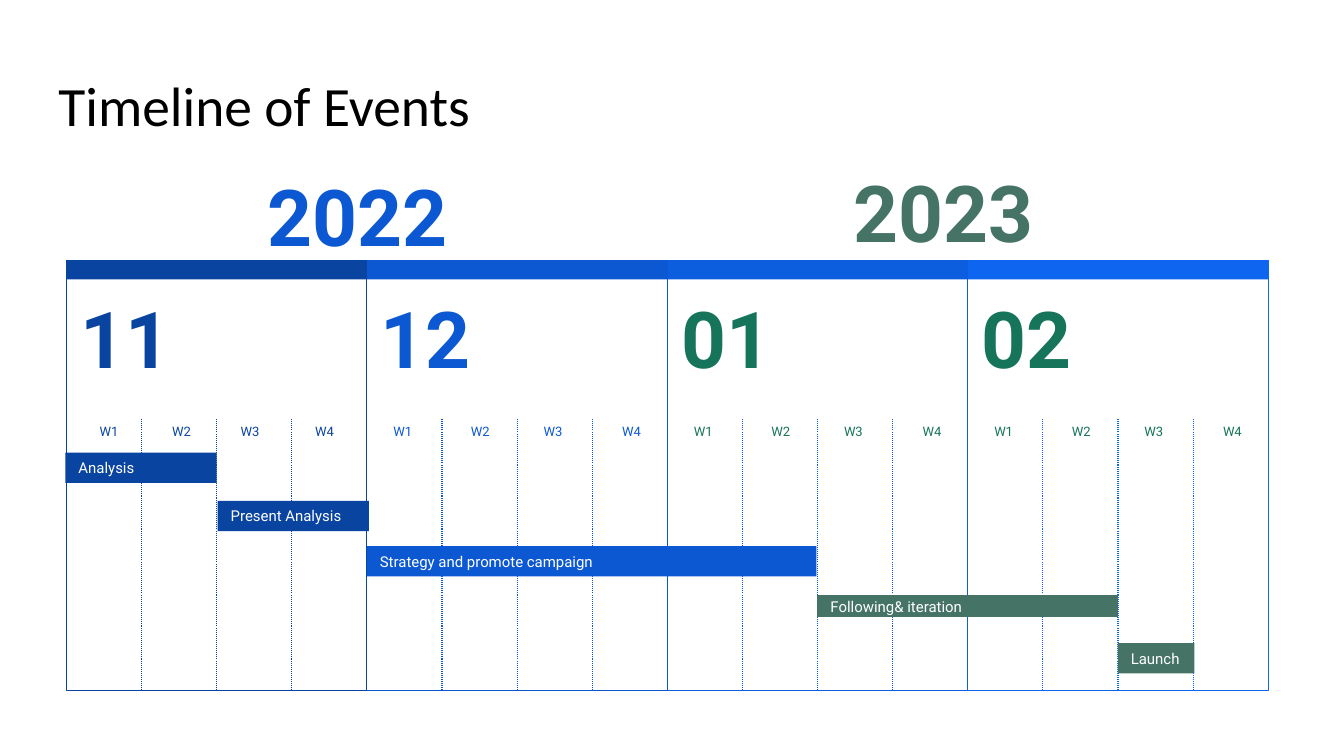
"""Build the Timeline of Events slide."""
from dataclasses import dataclass

import lxml.etree
import pptx
import pptx.dml.color
import pptx.enum.dml
import pptx.enum.shapes
import pptx.enum.text
import pptx.oxml.ns
import pptx.shapes.autoshape
import pptx.shapes.connector
import pptx.shapes.shapetree
import pptx.util

Pt = pptx.util.Pt
Rect = pptx.shapes.autoshape.Shape
Tree = pptx.shapes.shapetree.SlideShapes | pptx.shapes.shapetree.GroupShapes
Align = pptx.enum.text.PP_ALIGN
Anchor = pptx.enum.text.MSO_ANCHOR

HUES = {
    "navy": "0944A1",
    "blue": "0C58D3",
    "azure": "0D5DDF",
    "bright": "0E65F0",
    "green": "16745A",
    "sage": "457467",
    "white": "FFFFFF",
    "black": "000000",
}
LEFT, TOP, WIDE, HIGH = 47.5, 185.8, 214.6, 307.4
BAND, INSET, WEEK_TOP = 13.7, 9.3, 298.8
BOTTOM = TOP + HIGH


@dataclass(frozen=True)
class Box:
    left: float
    top: float
    width: float
    height: float


@dataclass(frozen=True)
class Style:
    size: float
    hue: str
    bold: bool = False
    align: Align = Align.CENTER
    anchor: Anchor = Anchor.MIDDLE
    font: str = "Roboto"


@dataclass(frozen=True)
class Month:
    label: str
    edge: str
    ink: str
    weeks: tuple[float, ...] = (7.2, 62.6, 114.5, 170.6)
    width: float = 36.7


@dataclass(frozen=True)
class Task:
    label: str
    box: Box
    hue: str
    edge: str | None = None


@dataclass(frozen=True)
class Year:
    label: str
    box: Box
    hue: str


MONTHS = (
    Month("11", "navy", "navy", (13, 64.8, 113.8, 167), 34.6),
    Month("12", "blue", "blue"),
    Month("01", "azure", "green"),
    Month("02", "bright", "green"),
)
TASKS = (
    Task("Analysis", Box(46.8, 323.3, 108, 21.6), "navy"),
    Task("Present Analysis", Box(155.5, 357.8, 108, 21.6), "navy"),
    Task("Following& iteration", Box(583.9, 425.5, 214.6, 15.1), "sage", "sage"),
    Task("Launch", Box(798.5, 459.4, 54.7, 21.6), "sage"),
    Task("Strategy and promote campaign", Box(262.1, 390.2, 321.1, 21.6), "blue"),
)
YEARS = (
    Year("2022", Box(178.6, 111.6, 153.4, 83.5), "blue"),
    Year("2023", Box(594.7, 115.2, 159.1, 71.3), "sage"),
)


def tint(hue: str) -> pptx.dml.color.RGBColor:
    """Return the named colour."""
    return pptx.dml.color.RGBColor.from_string(HUES[hue])


def spot(box: Box) -> tuple[int, ...]:
    """Return the box as slide lengths."""
    return Pt(box.left), Pt(box.top), Pt(box.width), Pt(box.height)


def write(shape: Rect, text: str, style: Style) -> None:
    """Put one styled run into a shape."""
    frame = shape.text_frame
    frame.word_wrap = True
    frame.auto_size = pptx.enum.text.MSO_AUTO_SIZE.NONE
    frame.vertical_anchor = style.anchor
    frame.margin_left = frame.margin_right = Pt(INSET)
    frame.margin_top = frame.margin_bottom = Pt(INSET)
    para = frame.paragraphs[0]
    para.alignment = style.align
    run = para.add_run()
    run.text = text
    run.font.name = style.font
    run.font.size = Pt(style.size)
    run.font.bold = style.bold
    run.font.color.rgb = tint(style.hue)


def label(tree: Tree, text: str, box: Box, style: Style) -> None:
    """Add a text box."""
    write(tree.add_textbox(*spot(box)), text, style)


def block(tree: Tree, box: Box, fill: str | None, edge: str | None) -> Rect:
    """Add a plain rectangle."""
    shape = tree.add_shape(pptx.enum.shapes.MSO_SHAPE.RECTANGLE, *spot(box))
    shape.shadow.inherit = False
    if fill:
        shape.fill.solid()
        shape.fill.fore_color.rgb = tint(fill)
    else:
        shape.fill.background()
    if edge:
        shape.line.color.rgb = tint(edge)
        shape.line.width = Pt(0.75)
    else:
        shape.line.fill.background()
    return shape


def rule(tree: Tree, left: float, hue: str) -> pptx.shapes.connector.Connector:
    """Add a dotted week divider."""
    line = tree.add_connector(
        pptx.enum.shapes.MSO_CONNECTOR.STRAIGHT,
        Pt(left), Pt(BOTTOM), Pt(left), Pt(WEEK_TOP),
    )
    line.line.color.rgb = tint(hue)
    line.line.width = Pt(0.75)
    line.line.dash_style = pptx.enum.dml.MSO_LINE.ROUND_DOT
    props = line._element.spPr
    lxml.etree.SubElement(props, pptx.oxml.ns.qn("a:effectLst"))
    return line


def draw_month(tree: Tree, month: Month, left: float) -> None:
    """Draw one month column as a group."""
    group = tree.add_group_shape().shapes
    frame = block(group, Box(left, TOP, WIDE, HIGH), None, month.edge)
    block(group, Box(left, TOP, WIDE, BAND), month.edge, None)
    label(group, month.label, Box(left, 199.4, 84.2, 83.5), Style(56, month.ink, True))
    for num, shift in enumerate(month.weeks, 1):
        box = Box(left + shift, WEEK_TOP, month.width, 18.7)
        label(group, f"W{num}", box, Style(9.3, month.ink))
    for part in (1, 2, 3):
        line = rule(group, left + part * WIDE / 4, month.edge)
        if part == 2:
            line.begin_connect(frame, 2)


def main() -> None:
    """Build and save the slide."""
    deck = pptx.Presentation()
    deck.slide_width, deck.slide_height = Pt(960), Pt(540)
    slide = deck.slides.add_slide(deck.slide_layouts[5])
    tree = slide.shapes
    for col, month in reversed(list(enumerate(MONTHS))):
        draw_month(tree, month, LEFT + col * WIDE)
    for task in TASKS:
        bar = block(tree, task.box, task.hue, task.edge)
        write(bar, task.label, Style(10.7, "white", align=Align.LEFT))
    title = tree.title
    title.left, title.top, title.width, title.height = spot(Box(32.4, 46.8, 894.2, 60.5))
    look = Style(39.6, "black", align=Align.LEFT, anchor=Anchor.TOP, font="Calibri")
    write(title, "Timeline of Events", look)
    title.text_frame.paragraphs[0].line_spacing = 0.9
    for year in YEARS:
        label(tree, year.label, year.box, Style(56, year.hue, True))
    deck.save("out.pptx")


if __name__ == "__main__":
    main()
